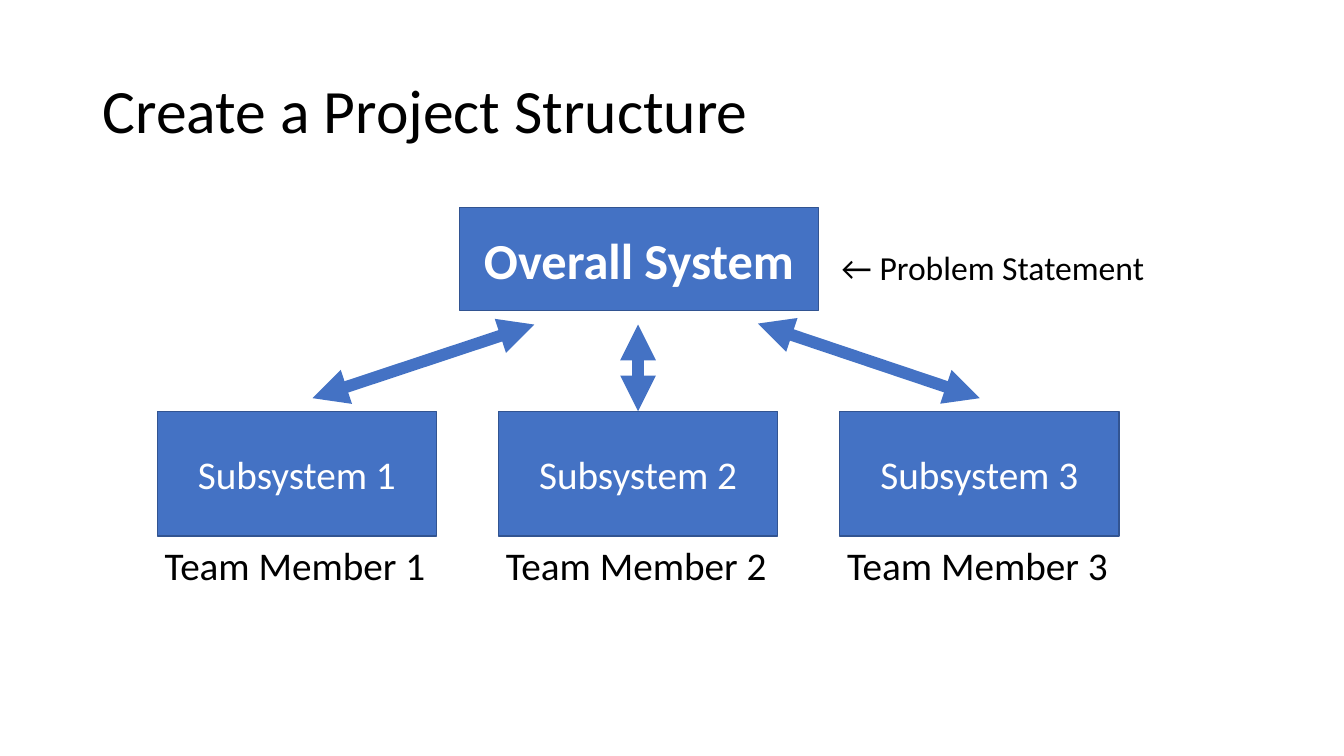
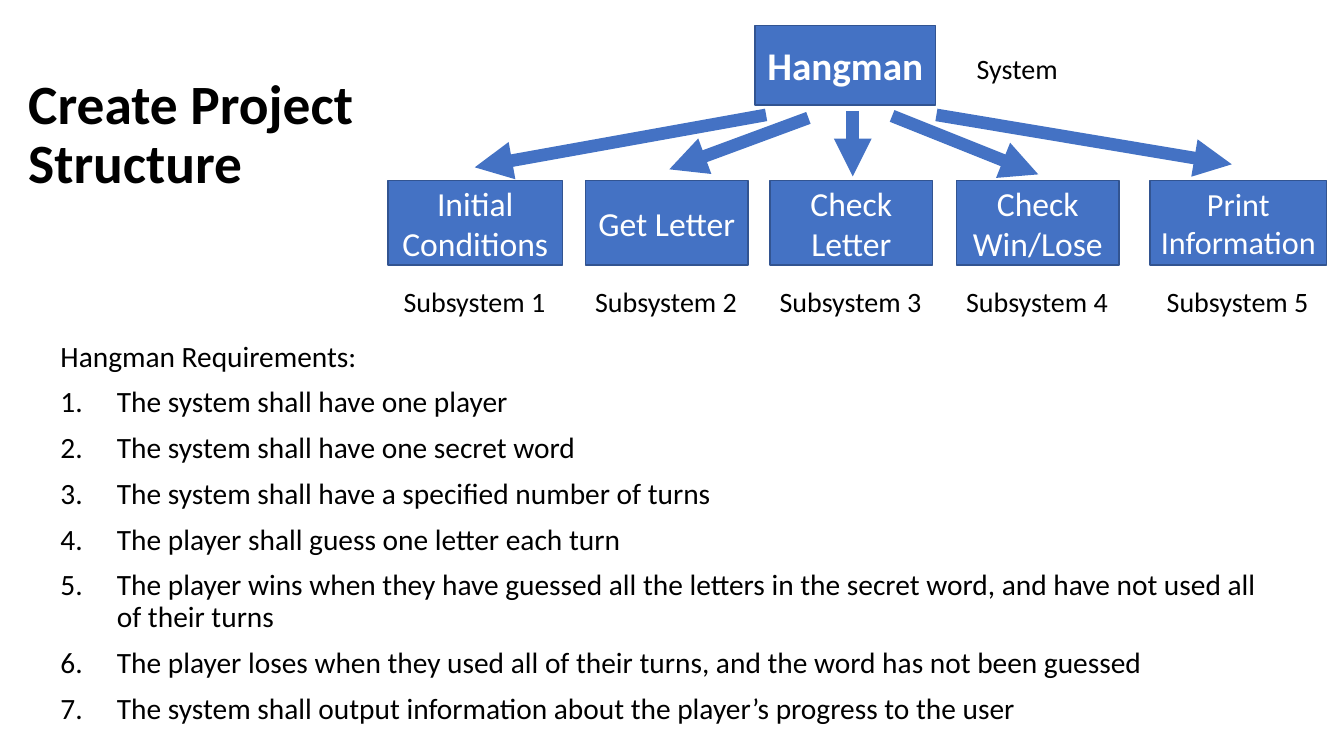
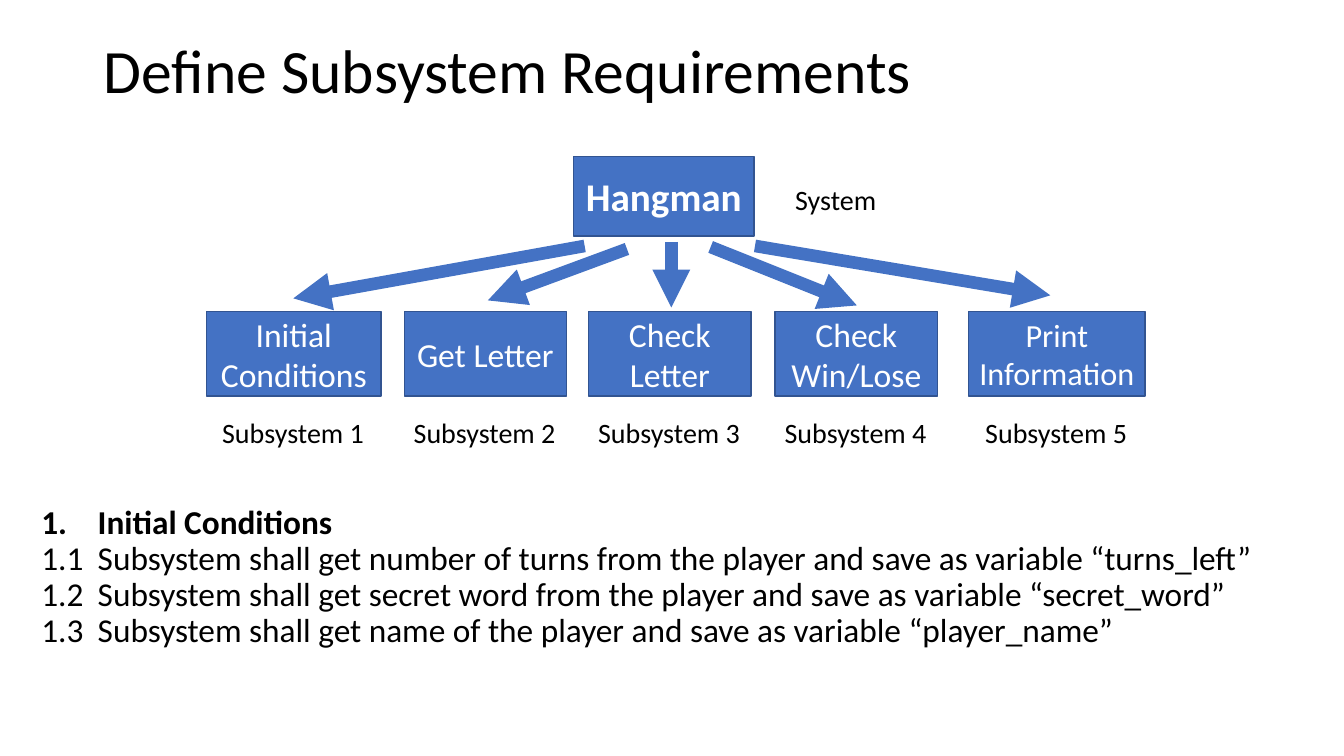
from dataclasses import dataclass

from lxml.etree import SubElement
from pptx import Presentation
from pptx.dml.color import RGBColor
from pptx.enum.shapes import MSO_CONNECTOR, MSO_SHAPE
from pptx.enum.text import MSO_ANCHOR, MSO_AUTO_SIZE, PP_ALIGN
from pptx.oxml.ns import qn
from pptx.util import Inches, Pt

BLUE = RGBColor(0x44, 0x72, 0xC4)
DARK_BLUE = RGBColor(0x32, 0x54, 0x91)
WHITE = RGBColor(0xFF, 0xFF, 0xFF)
BLACK = RGBColor(0, 0, 0)
FONT = "Calibri"
CELL = Inches(0.1)  # one grid column or row
COLUMNS, ROWS = 133.33, 75
LIST_INDENT = 5.6
TITLE_ONLY, TITLE_AND_BODY = 5, 1


@dataclass
class Box:
    """A rectangle measured in grid columns and rows."""
    left: float
    top: float
    width: float
    height: float

    def inner(self, left, top, width, height):
        """Return a box placed relative to this one."""
        return Box(self.left + left, self.top + top, width, height)

    def lengths(self):
        """Return left, top, width and height as slide lengths."""
        return [grid(value) for value in
                (self.left, self.top, self.width, self.height)]


def grid(cells):
    """Convert grid cells to a slide length."""
    return int(cells * CELL)


def format_paragraph(paragraph, size, color=BLACK, bold=False):
    """Format all runs of a paragraph."""
    for run in paragraph.runs:
        run.font.name = FONT
        run.font.size = Pt(size)
        run.font.bold = bold
        run.font.color.rgb = color


def place(shape, box):
    """Move and size a placeholder."""
    shape.left, shape.top, shape.width, shape.height = box.lengths()


def add_title(slide, box, text, size=44, bold=False):
    """Fill the title placeholder, left aligned and vertically centred."""
    title = slide.shapes.title
    place(title, box)
    frame = title.text_frame
    frame.text = text
    frame.auto_size = MSO_AUTO_SIZE.NONE
    frame.vertical_anchor = MSO_ANCHOR.MIDDLE
    paragraph = frame.paragraphs[0]
    paragraph.alignment = PP_ALIGN.LEFT
    paragraph.line_spacing = 0.9
    format_paragraph(paragraph, size, bold=bold)


def set_list_style(paragraph, indent, numbered):
    """Give a paragraph a hanging indent and a number or no bullet."""
    properties = paragraph._p.get_or_add_pPr()
    properties.set("marL", str(grid(indent)))
    properties.set("indent", str(-grid(indent)))
    if numbered:
        SubElement(properties, qn("a:buAutoNum"), type="arabicPeriod")
    else:
        SubElement(properties, qn("a:buNone"))


def add_body(slide, box, lines, size, space_before, numbered, hanging, bold=()):
    """Fill the body; the last arguments hold the line indexes they apply to."""
    body = slide.placeholders[1]
    place(body, box)
    frame = body.text_frame
    frame.text = "\n".join(lines)
    frame.auto_size = MSO_AUTO_SIZE.NONE
    for index, paragraph in enumerate(frame.paragraphs):
        paragraph.line_spacing = 0.9
        paragraph.space_before = Pt(space_before)
        set_list_style(paragraph, LIST_INDENT if index in hanging else 0,
                       index in numbered)
        format_paragraph(paragraph, size, bold=index in bold)


def add_block(slide, box, text, size, bold=False):
    """Add a blue rectangle with centred white text."""
    block = slide.shapes.add_shape(MSO_SHAPE.RECTANGLE, *box.lengths())
    block.shadow.inherit = False
    block.fill.solid()
    block.fill.fore_color.rgb = BLUE
    block.line.color.rgb = DARK_BLUE
    block.line.width = Pt(1)
    frame = block.text_frame
    frame.text = text
    frame.word_wrap = True
    frame.vertical_anchor = MSO_ANCHOR.MIDDLE
    frame.paragraphs[0].alignment = PP_ALIGN.CENTER
    format_paragraph(frame.paragraphs[0], size, WHITE, bold)


def add_label(slide, box, text, size):
    """Add a black one-line label."""
    frame = slide.shapes.add_textbox(*box.lengths()).text_frame
    frame.text = text
    frame.word_wrap = False
    frame.auto_size = MSO_AUTO_SIZE.SHAPE_TO_FIT_TEXT
    format_paragraph(frame.paragraphs[0], size)


def add_caption(slide, block, gap, width, height, text, size):
    """Add a label centred below a block."""
    box = block.inner((block.width - width) / 2, block.height + gap, width, height)
    add_label(slide, box, text, size)


def add_arrow(slide, box, start, end, width, both_ends=False):
    """Add a thick arrow between two points relative to a box."""
    points = [grid(value) for x, y in (start, end)
              for value in (box.left + x, box.top + y)]
    arrow = slide.shapes.add_connector(MSO_CONNECTOR.STRAIGHT, *points)
    arrow.line.color.rgb = BLUE
    arrow.line.width = Pt(width)
    line = arrow.line._get_or_add_ln()
    if both_ends:
        SubElement(line, qn("a:headEnd"), type="triangle")
    SubElement(line, qn("a:tailEnd"), type="triangle")
    SubElement(arrow._element.spPr, qn("a:effectLst"))


def add_project_chart(slide, box):
    """Draw the overall system with its subsystems and team members."""
    add_block(slide, box.inner(30, 0, 35.6, 10.2), "Overall System", 36, bold=True)
    add_label(slide, box.inner(66.9, 3.4, 32.6, 5), "← Problem Statement", 24)
    for number in range(3):
        block = box.inner(number * 33.85, 20.2, 27.7, 12.4)
        add_block(slide, block, f"Subsystem {number + 1}", 28)
        add_caption(slide, block, 0, 28.2, 5.7, f"Team Member {number + 1}", 28)
    for start, end in (((37.4, 11.6), (15.4, 18.9)),
                       ((47.7, 11.6), (47.7, 20.2)),
                       ((59.6, 11.5), (81.6, 18.9))):
        add_arrow(slide, box, start, end, 8.5, both_ends=True)


HANGMAN_SUBSYSTEMS = (  # text, left, width, size, arrow start, arrow end
    ("Initial Conditions", 0, 17.3, 24, (37.5, 8.9), (8.6, 14.1)),
    ("Get Letter", 19.6, 16.1, 24, (41.7, 9.2), (27.9, 14.3)),
    ("Check Letter", 37.9, 16.1, 24, (46.1, 8.5), (46.1, 15)),
    ("Check Win/Lose", 56.4, 16.1, 24, (50, 9), (64.5, 14.8)),
    ("Print Information", 75.6, 17.5, 23, (54.4, 8.9), (83.7, 13.8)),
)


def add_hangman_chart(slide, box):
    """Draw the Hangman system with its five subsystems."""
    add_block(slide, box.inner(36.4, 0, 17.9, 7.9), "Hangman", 28, bold=True)
    add_label(slide, box.inner(57.4, 2.1, 10.2, 4.4), "System", 20)
    for number, (text, left, width, size, start, end) in enumerate(
            HANGMAN_SUBSYSTEMS, 1):
        block = box.inner(left, 15.4, width, 8.4)
        add_block(slide, block, text, size)
        add_caption(slide, block, 1.4, 16.2, 4.4, f"Subsystem {number}", 20)
        add_arrow(slide, box, start, end, 9)


def add_slide(presentation, layout):
    """Add a slide with the given layout."""
    return presentation.slides.add_slide(presentation.slide_layouts[layout])


def build_project_slide(presentation):
    """Build the general project structure slide."""
    slide = add_slide(presentation, TITLE_ONLY)
    add_title(slide, Box(9.2, 4, 115, 14.5), "Create a Project Structure")
    add_project_chart(slide, Box(15.6, 20.6, 95.4, 38.3))


def build_hangman_slide(presentation):
    """Build the Hangman structure and requirements slide."""
    slide = add_slide(presentation, TITLE_AND_BODY)
    add_title(slide, Box(1.8, 4, 34.5, 19), "Create Project Structure", 39.6, True)
    requirements = (
        "Hangman Requirements:",
        "The system shall have one player",
        "The system shall have one secret word",
        "The system shall have a specified number of turns",
        "The player shall guess one letter each turn",
        "The player wins when they have guessed all the letters in the secret "
        "word, and have not used all of their turns",
        "The player loses when they used all of their turns, and the word has "
        "not been guessed",
        "The system shall output information about the player’s progress to the user",
    )
    numbered = range(1, len(requirements))
    add_body(slide, Box(5, 33.4, 122.8, 38.8), requirements, 21, 10,
             numbered, numbered)
    add_hangman_chart(slide, Box(38.5, 2.5, 93.1, 29.6))


def build_requirements_slide(presentation):
    """Build the subsystem requirements slide."""
    slide = add_slide(presentation, TITLE_AND_BODY)
    add_title(slide, Box(9.3, 0, 115, 14.5), "Define Subsystem Requirements")
    requirements = (
        "Initial Conditions",
        "1.1\tSubsystem shall get number of turns from the player and save as "
        "variable “turns_left”",
        "1.2\tSubsystem shall get secret word from the player and save as "
        "variable “secret_word”",
        "1.3\tSubsystem shall get name of the player and save as "
        "variable “player_name”",
    )
    add_body(slide, Box(3.1, 49.7, 125, 20), requirements, 23.8, 0,
             numbered=(0,), hanging=range(len(requirements)), bold=(0,))
    add_hangman_chart(slide, Box(20.5, 15.5, 93.1, 29.6))


def main():
    """Build and save the presentation."""
    presentation = Presentation()
    presentation.slide_width = grid(COLUMNS)
    presentation.slide_height = grid(ROWS)
    build_project_slide(presentation)
    build_hangman_slide(presentation)
    build_requirements_slide(presentation)
    presentation.save("out.pptx")


main()
